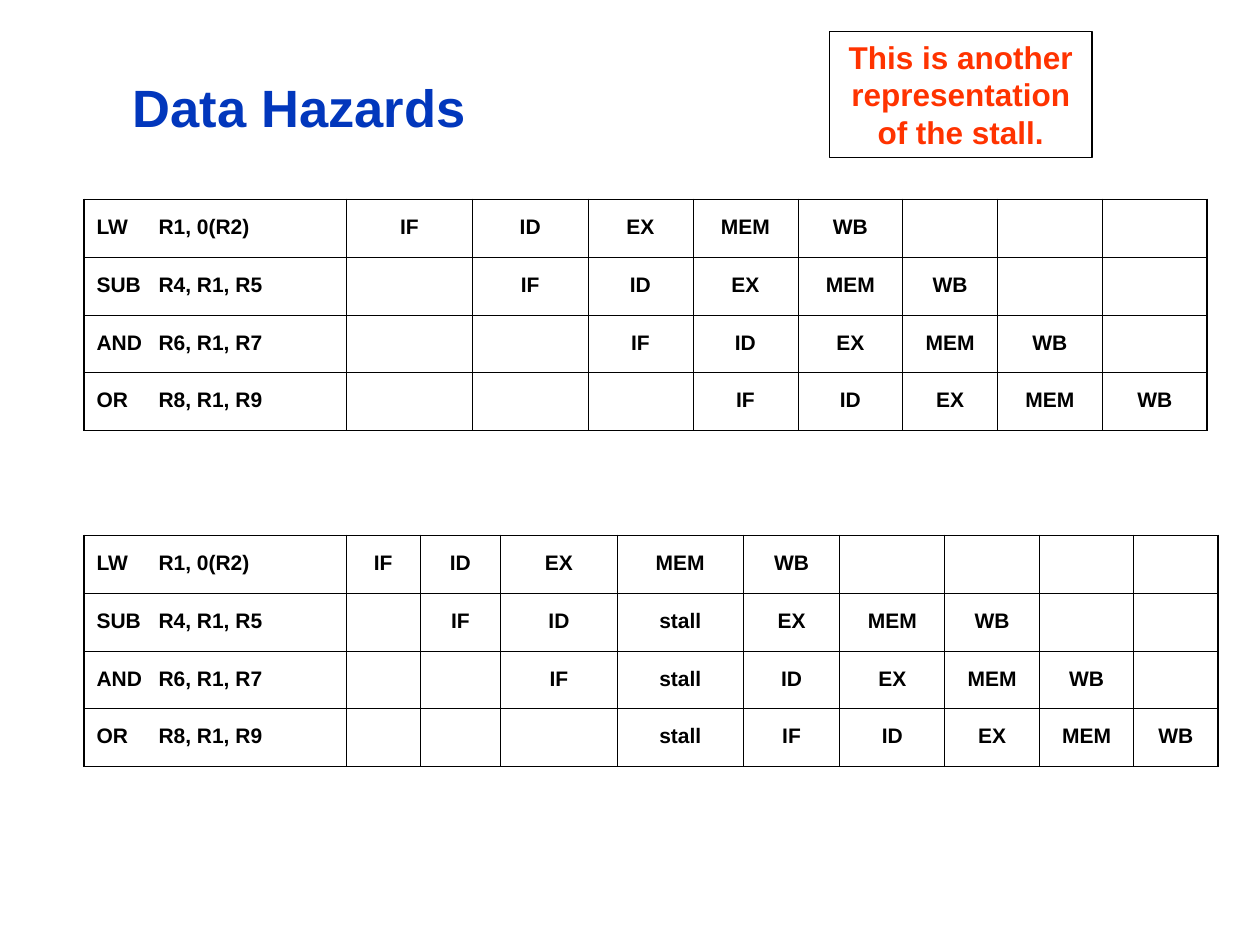
from dataclasses import dataclass

from lxml.etree import SubElement
from pptx import Presentation
from pptx.dml.color import RGBColor
from pptx.enum.shapes import MSO_SHAPE
from pptx.enum.text import MSO_ANCHOR, PP_ALIGN
from pptx.oxml.ns import qn
from pptx.util import Inches, Pt


@dataclass(frozen=True)
class Theme:
    font: str = "Arial"
    title: str = "0237BC"
    callout: str = "FF3300"
    ink: str = "000000"
    title_size: int = 30
    callout_size: int = 18
    cell_size: int = 12
    callout_line: float = 0.75
    outer_line: float = 1.08
    inner_line: float = 0.45
    line_spacing: float = 0.9


THEME = Theme()

# The slide is a grid of 120 columns by 90 rows, twelve to the inch
GRID_COLUMNS, GRID_ROWS, PER_INCH = 120, 90, 12
ROW_HEIGHT = 5.5
OPERAND_TAB = 5.9

INSTRUCTIONS = [
    "LW\tR1, 0(R2)",
    "SUB\tR4, R1, R5",
    "AND\tR6, R1, R7",
    "OR\tR8, R1, R9",
]
STAGES = ["IF", "ID", "EX", "MEM", "WB"]
STALL_CYCLE = 3
IDEAL_COLUMNS = [25, 12, 11, 10, 10, 10, 9, 10, 10]
STALLED_COLUMNS = [25, 7, 7.7, 11.1, 12, 9.2, 10, 9, 9, 8]


def grid(units):
    return Inches(units / PER_INCH)


def style_paragraph(para, size, color, align=PP_ALIGN.CENTER, spacing=None):
    para.alignment = align
    para.line_spacing = spacing
    para.space_before = Pt(0)
    for span in para.runs:
        span.font.name = THEME.font
        span.font.size = Pt(size)
        span.font.bold = True
        span.font.color.rgb = RGBColor.from_string(color)


def add_title(page, text, left, top, width, height):
    box = page.shapes.add_textbox(*map(grid, (left, top, width, height)))
    frame = box.text_frame
    frame.word_wrap = True
    frame.vertical_anchor = MSO_ANCHOR.MIDDLE
    frame.text = text
    style_paragraph(frame.paragraphs[0], THEME.title_size, THEME.title,
                    spacing=THEME.line_spacing)


def add_callout(page, text, left, top, width, height):
    box = page.shapes.add_shape(MSO_SHAPE.RECTANGLE,
                                *map(grid, (left, top, width, height)))
    box.shadow.inherit = False
    box.fill.background()
    box.line.color.rgb = RGBColor.from_string(THEME.ink)
    box.line.width = Pt(THEME.callout_line)
    frame = box.text_frame
    frame.word_wrap = True
    frame.vertical_anchor = MSO_ANCHOR.TOP
    frame.text = text
    style_paragraph(frame.paragraphs[0], THEME.callout_size, THEME.callout)


def set_borders(cell, outer_sides):
    properties = cell._tc.get_or_add_tcPr()
    for side in "LRTB":
        width = THEME.outer_line if side in outer_sides else THEME.inner_line
        line = SubElement(properties, qn(f"a:ln{side}"), w=str(Pt(width)))
        fill = SubElement(line, qn("a:solidFill"))
        SubElement(fill, qn("a:srgbClr"), val=THEME.ink)


def add_operand_tab(para):
    tabs = SubElement(para._p.get_or_add_pPr(), qn("a:tabLst"))
    SubElement(tabs, qn("a:tab"), pos=str(grid(OPERAND_TAB)), algn="l")


def pipeline_rows(cycles, stalled):
    """Each instruction enters one cycle after the one before it."""
    rows = []
    for delay, instruction in enumerate(INSTRUCTIONS):
        timeline = [""] * delay + STAGES
        if stalled and delay:
            timeline.insert(STALL_CYCLE, "stall")
        padding = [""] * (cycles - len(timeline))
        rows.append([instruction] + timeline + padding)
    return rows


def add_pipeline_table(page, left, top, columns, stalled=False):
    rows = pipeline_rows(len(columns) - 1, stalled)
    table = page.shapes.add_table(
        len(rows), len(columns), grid(left), grid(top),
        grid(sum(columns)), grid(ROW_HEIGHT * len(rows))).table
    table.first_row = False
    table.horz_banding = False
    for column, width in zip(table.columns, columns):
        column.width = grid(width)

    last_row, last_column = len(rows) - 1, len(columns) - 1
    for r, row in enumerate(rows):
        table.rows[r].height = grid(ROW_HEIGHT)
        for c, text in enumerate(row):
            cell = table.cell(r, c)
            edges = {"L": c == 0, "R": c == last_column,
                     "T": r == 0, "B": r == last_row}
            set_borders(cell, [side for side, outer in edges.items() if outer])
            cell.fill.background()
            cell.vertical_anchor = MSO_ANCHOR.MIDDLE
            if not text:
                continue
            cell.text_frame.text = text
            para = cell.text_frame.paragraphs[0]
            if c == 0:
                add_operand_tab(para)
            style_paragraph(para, THEME.cell_size, THEME.ink,
                            PP_ALIGN.CENTER if c else PP_ALIGN.LEFT,
                            THEME.line_spacing)


def main():
    deck = Presentation()
    deck.slide_width, deck.slide_height = grid(GRID_COLUMNS), grid(GRID_ROWS)
    page = deck.slides.add_slide(deck.slide_layouts[6])

    # Heading and remark
    add_title(page, "Data Hazards", 2, 3, 53, 15)
    add_callout(page, "This is another representation of the stall.",
                79, 3, 25, 12)

    # Pipeline without and with the stall
    add_pipeline_table(page, 8, 19, IDEAL_COLUMNS)
    add_pipeline_table(page, 8, 51, STALLED_COLUMNS, stalled=True)

    deck.save("out.pptx")


if __name__ == "__main__":
    main()
